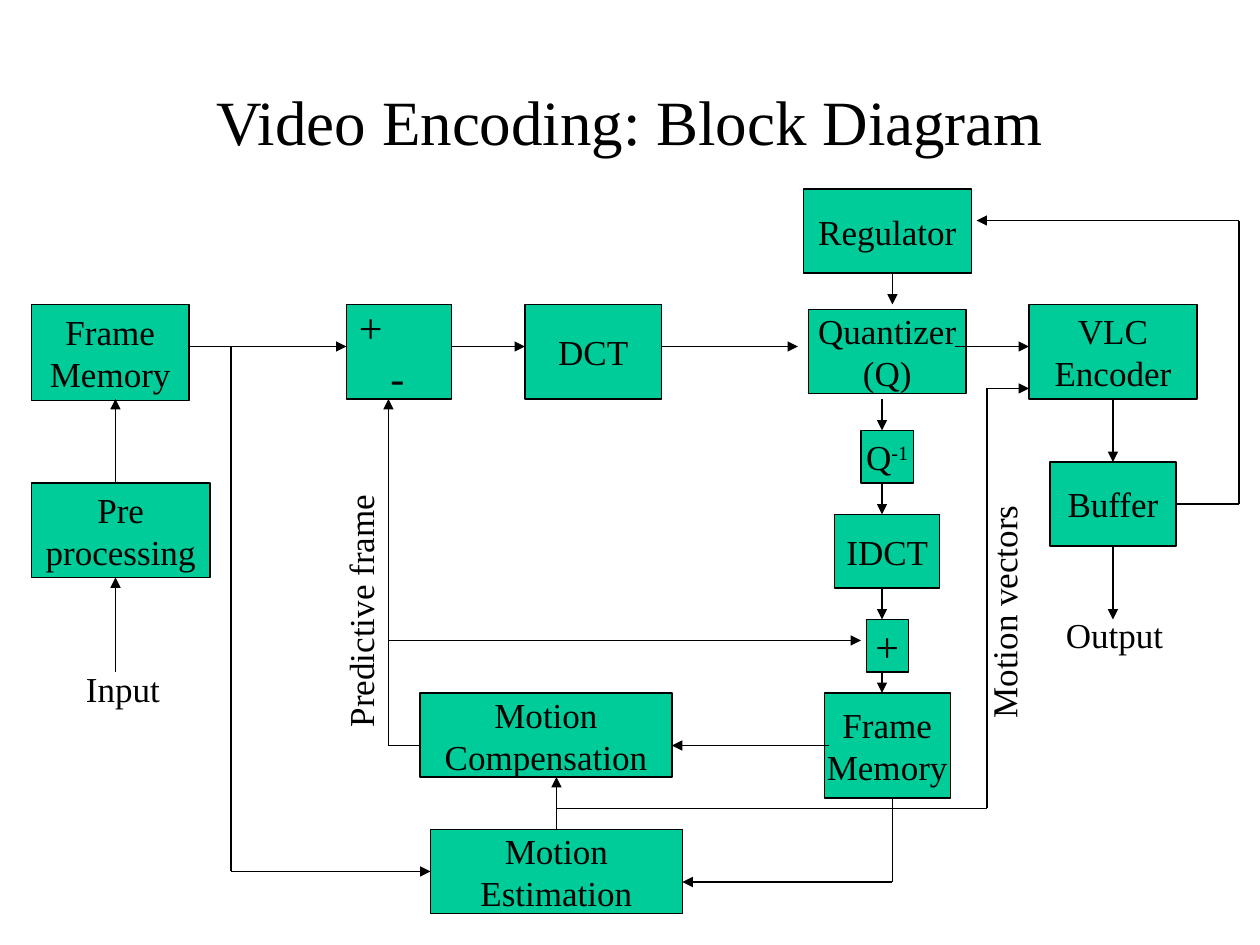
from dataclasses import dataclass
from itertools import pairwise

from lxml.etree import SubElement
from pptx import Presentation
from pptx.dml.color import RGBColor
from pptx.enum.shapes import MSO_CONNECTOR as Connector, MSO_SHAPE as Preset
from pptx.enum.text import MSO_ANCHOR as Anchor, MSO_AUTO_SIZE as AutoSize, PP_ALIGN as Align
from pptx.oxml.ns import qn
from pptx.util import Pt

BLACK = RGBColor(0x00, 0x00, 0x00)
GREEN = RGBColor(0x00, 0xCC, 0x99)
FONT = "Times New Roman"
LINE_WIDTH = 0.75


@dataclass(frozen=True)
class Block:
    lines: tuple[str, ...]
    left: float
    top: float
    width: float
    height: float
    size: int = 20
    superscript: str = ""
    align: Align = Align.CENTER
    last_indent: float = 0


@dataclass(frozen=True)
class Label:
    text: str
    left: float
    top: float
    width: float
    rotation: int = 0


@dataclass(frozen=True)
class Route:
    points: tuple[tuple[float, float], ...]
    arrow: bool = True


BLOCKS = (
    Block(("Pre", "processing"), 18, 276, 102, 54),
    Block(("Frame", "Memory"), 18, 174, 90, 55),
    Block(("+", "-"), 198, 174, 60, 54, size=24, align=Align.LEFT, last_indent=18),
    Block(("DCT",), 300, 174, 78, 54),
    Block(("Motion", "Compensation"), 240, 396, 144, 48),
    Block(("Motion", "Estimation"), 246, 474, 144, 48),
    Block(("Frame", "Memory"), 471, 396, 72, 60),
    Block(("+",), 495, 354, 24, 30, size=24),
    Block(("IDCT",), 477, 294, 60, 42),
    Block(("Quantizer", "(Q)"), 462, 177, 90, 48),
    Block(("Regulator",), 459, 108, 96, 48),
    Block(("VLC", "Encoder"), 588, 174, 96, 54),
    Block(("Buffer",), 600, 264, 72, 48),
    Block(("Q",), 492, 246, 30, 30, superscript="-1"),
)

LABELS = (
    Label("Output", 602, 347, 70),
    Label("Input", 42, 378, 57),
    Label("Predictive frame", 130.5, 331.5, 151, rotation=270),
    Label("Motion vectors", 503, 331.5, 141, rotation=270),
)
LABEL_HEIGHT = 31.5

ROUTES = (
    # Input through to the encoder
    Route(((66, 384), (66, 330))),
    Route(((66, 276), (66, 228))),
    Route(((108, 198), (198, 198))),
    Route(((258, 198), (300, 198))),
    Route(((378, 198), (456, 198))),
    Route(((546, 198), (588, 198))),
    Route(((636, 228), (636, 264))),
    Route(((636, 312), (636, 354))),
    # Rate control
    Route(((672, 288), (708, 288), (708, 126), (558, 126))),
    Route(((510, 156), (510, 174))),
    # Reconstruction
    *(Route(((504, start), (504, end)))
      for start, end in ((228, 246), (276, 294), (336, 354), (384, 396))),
    # Motion estimation and compensation
    Route(((132, 198), (132, 498), (246, 498))),
    Route(((510, 456), (510, 504), (390, 504))),
    Route(((318, 474), (318, 444))),
    Route(((318, 462), (564, 462), (564, 222), (588, 222))),
    Route(((474, 426), (384, 426))),
    Route(((240, 426), (222, 426), (222, 228))),
    Route(((222, 366), (492, 366))),
)


def format_font(font, size: int) -> None:
    for name, value in {"name": FONT, "size": Pt(size)}.items():
        setattr(font, name, value)
    font.color.rgb = BLACK


def draw_block(slide, block: Block):
    shape = slide.shapes.add_shape(
        Preset.RECTANGLE, Pt(block.left), Pt(block.top), Pt(block.width), Pt(block.height))
    shape.shadow.inherit = False
    shape.fill.solid()
    shape.fill.fore_color.rgb = GREEN
    shape.line.color.rgb = BLACK
    shape.line.width = Pt(LINE_WIDTH)
    frame = shape.text_frame
    frame.word_wrap = block.last_indent > 0
    frame.vertical_anchor = Anchor.MIDDLE
    frame.text = "\n".join(block.lines)
    for paragraph in frame.paragraphs:
        paragraph.alignment = block.align
        format_font(paragraph.runs[0].font, block.size)
    if block.last_indent:
        properties = paragraph._p.get_or_add_pPr()
        properties.set("marL", str(Pt(block.last_indent)))
        properties.set("indent", "0")
    if block.superscript:
        run = paragraph.add_run()
        run.text = block.superscript
        format_font(run.font, block.size)
        run._r.get_or_add_rPr().set("baseline", "30000")
    return shape


def side_middles(block: Block) -> list[tuple[float, float]]:
    """Middles of the sides, ordered by connection site."""
    middle_x = block.left + block.width / 2
    middle_y = block.top + block.height / 2
    return [(middle_x, block.top), (block.left, middle_y),
            (middle_x, block.top + block.height), (block.left + block.width, middle_y)]


def draw_route(slide, route: Route, sites: dict) -> None:
    """Draw straight segments, joined to a block where they meet a side's middle."""
    for start, end in pairwise(route.points):
        connector = slide.shapes.add_connector(
            Connector.STRAIGHT, *(Pt(value) for value in (*start, *end)))
        connector.line.color.rgb = BLACK
        connector.line.width = Pt(LINE_WIDTH)
        if start in sites:
            connector.begin_connect(*sites[start])
        if end in sites:
            connector.end_connect(*sites[end])
        if route.arrow and end == route.points[-1]:
            SubElement(connector.line._get_or_add_ln(), qn("a:tailEnd"), type="triangle")
        SubElement(connector._element.spPr, qn("a:effectLst"))


def draw_label(slide, label: Label) -> None:
    shape = slide.shapes.add_textbox(
        Pt(label.left), Pt(label.top), Pt(label.width), Pt(LABEL_HEIGHT))
    shape.rotation = label.rotation
    frame = shape.text_frame
    frame.word_wrap = False
    frame.auto_size = AutoSize.NONE
    frame.text = label.text
    format_font(frame.paragraphs[0].runs[0].font, 20)


def draw_title(slide, text: str) -> None:
    title = slide.shapes.title
    position = {"left": 54, "top": 24, "width": 612, "height": 90}
    for name, value in position.items():
        setattr(title, name, Pt(value))
    frame = title.text_frame
    frame.text = text
    frame.vertical_anchor = Anchor.MIDDLE
    paragraph = frame.paragraphs[0]
    paragraph.alignment = Align.CENTER
    format_font(paragraph.runs[0].font, 36)


def main() -> None:
    presentation = Presentation()
    presentation.slide_width, presentation.slide_height = Pt(720), Pt(540)
    slide = presentation.slides.add_slide(presentation.slide_layouts[5])
    draw_title(slide, "Video Encoding: Block Diagram")
    sites = {}
    for block in BLOCKS:
        shape = draw_block(slide, block)
        for site, point in enumerate(side_middles(block)):
            sites[point] = (shape, site)
    for route in ROUTES:
        draw_route(slide, route, sites)
    for label in LABELS:
        draw_label(slide, label)
    presentation.save("out.pptx")


if __name__ == "__main__":
    main()
